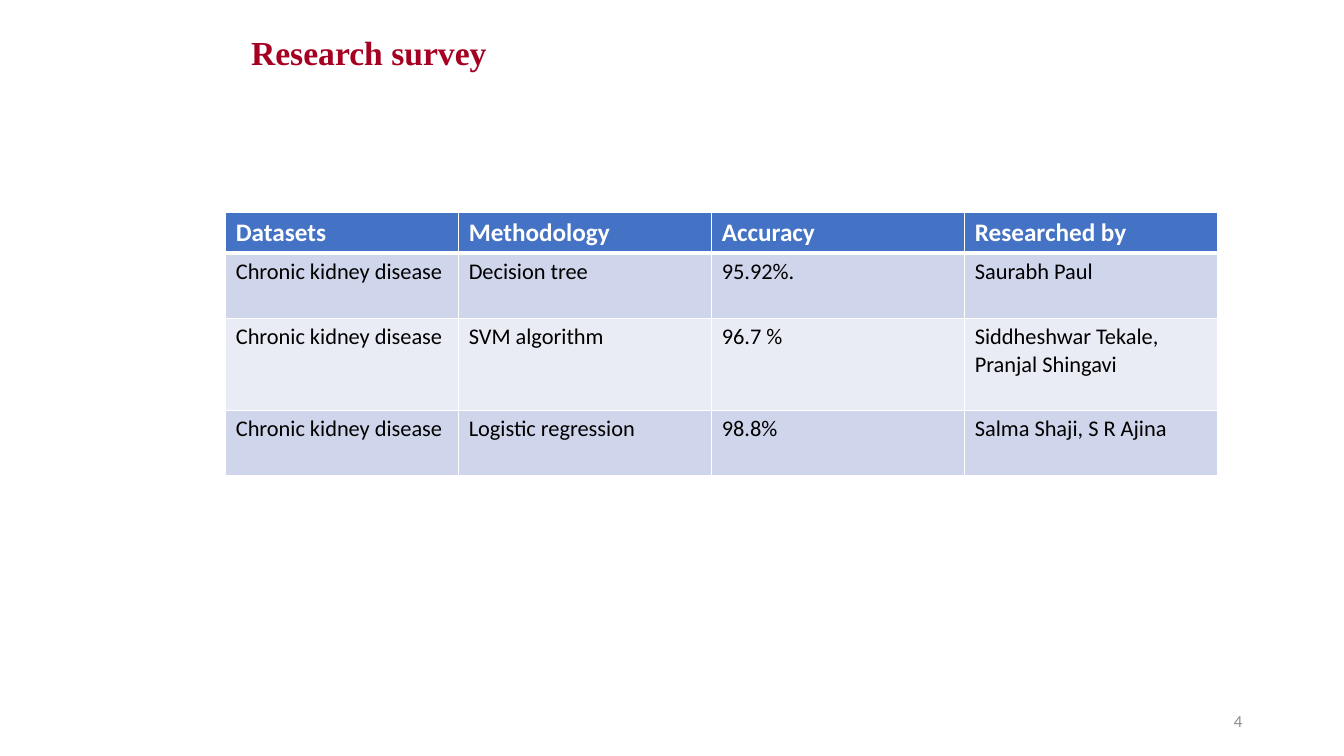
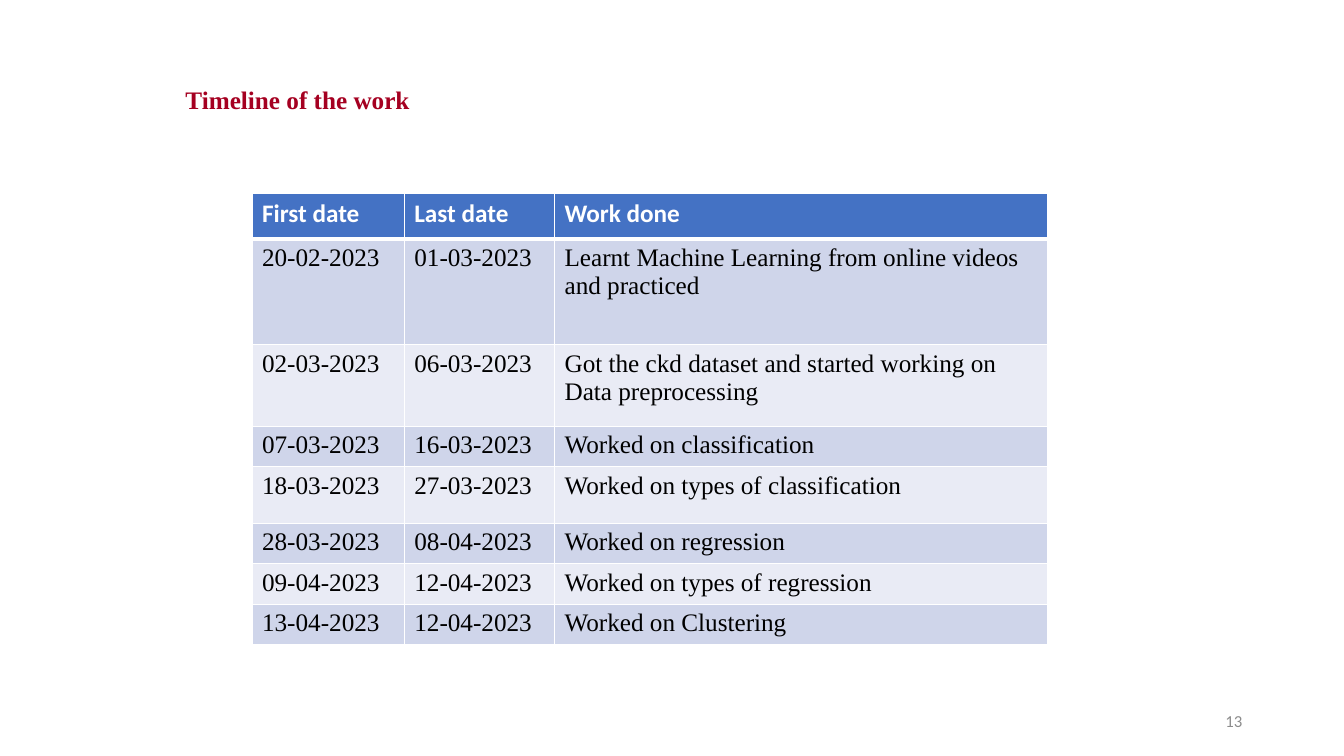
from dataclasses import dataclass
from lxml import etree
from pptx import Presentation
from pptx.dml.color import RGBColor
from pptx.enum.text import MSO_ANCHOR, MSO_AUTO_SIZE, PP_ALIGN
from pptx.oxml.ns import qn
from pptx.util import Inches, Pt

LEFT, RIGHT = PP_ALIGN.LEFT, PP_ALIGN.RIGHT
MIDDLE = MSO_ANCHOR.MIDDLE
FIXED = MSO_AUTO_SIZE.NONE
WIDE, TALL = Inches(13.33), Inches(7.5)


@dataclass(frozen=True)
class Theme:
    red: str = "A50021"
    blue: str = "4472C4"
    bands: tuple = ("CFD5EA", "E9EBF5")
    white: str = "FFFFFF"
    black: str = "000000"
    gray: str = "8C8C8C"
    sans: str = "Calibri"
    serif: str = "Times New Roman"
    head: int = 18
    foot: int = 12
    thin: int = 1
    thick: int = 3


theme = Theme()


def share(left, top, width, height):
    sides = (WIDE, TALL, WIDE, TALL)
    return [int(side * part / 100) for side, part in zip(sides, (left, top, width, height))]


def write(frame, text, color, **form):
    para = frame.paragraphs[0]
    run = para.add_run()
    run.text = text
    run.font.color.rgb = RGBColor.from_string(color)
    for key, value in form.items():
        setattr(run.font, key, value)
    return para


pages = [
    {
        "title": "Research survey",
        "place": (17.93, 2.53, 49.89, 8.4),
        "size": 24,
        "number": "4",
        "start": (16.8, 28.13),
        "cols": (17.33, 18.83, 18.83, 18.83),
        "rows": (5.2, 8.67, 12.13, 8.67),
        "body": {"name": theme.sans, "size": Pt(16), "bold": False},
        "cells": [
            ("Datasets", "Methodology", "Accuracy", "Researched by"),
            ("Chronic kidney disease", "Decision tree", "95.92%.", "Saurabh Paul"),
            ("Chronic kidney disease", "SVM algorithm", "96.7 %",
             "Siddheshwar Tekale, Pranjal Shingavi"),
            ("Chronic kidney disease", "Logistic regression", "98.8%",
             "Salma Shaji, S R Ajina"),
        ],
    },
    {
        "title": "Timeline of the work",
        "place": (13.05, 6.8, 54.76, 12.53),
        "size": 18,
        "number": "13",
        "start": (18.75, 25.6),
        "cols": (11.33, 11.18, 36.68),
        "rows": (6, 14, 10.8, 5, 7.5, 5, 5, 5),
        "body": {"name": theme.serif, "size": Pt(18), "bold": False},
        "cells": [
            ("First date", "Last date", "Work done"),
            ("20-02-2023", "01-03-2023",
             "Learnt Machine Learning from online videos and practiced"),
            ("02-03-2023", "06-03-2023",
             "Got the ckd dataset and started working on Data preprocessing"),
            ("07-03-2023", "16-03-2023", "Worked on classification"),
            ("18-03-2023", "27-03-2023", "Worked on types of classification"),
            ("28-03-2023", "08-04-2023", "Worked on regression"),
            ("09-04-2023", "12-04-2023", "Worked on types of regression"),
            ("13-04-2023", "12-04-2023", "Worked on Clustering"),
        ],
    },
]

deck = Presentation()
deck.slide_width, deck.slide_height = WIDE, TALL
layout = deck.slide_layouts.get_by_name("Title Only")
header = {"name": theme.sans, "size": Pt(theme.head), "bold": True}

for page in pages:
    slide = deck.slides.add_slide(layout)

    title = slide.shapes.title
    title.left, title.top, title.width, title.height = share(*page["place"])
    title.text_frame.auto_size = FIXED
    title.text_frame.vertical_anchor = MIDDLE
    para = write(title.text_frame, page["title"], theme.red,
                 name=theme.serif, size=Pt(page["size"]), bold=True)
    for key, value in {"alignment": LEFT, "line_spacing": 1.07, "space_after": Pt(4.5)}.items():
        setattr(para, key, value)

    foot = slide.shapes.add_textbox(*share(70.67, 92.67, 22.5, 5.33)).text_frame
    foot.word_wrap = True
    foot.vertical_anchor = MIDDLE
    para = write(foot, page["number"], theme.gray, name=theme.sans, size=Pt(theme.foot))
    para.alignment = RIGHT

    cols, rows = page["cols"], page["rows"]
    area = share(*page["start"], sum(cols), sum(rows))
    table = slide.shapes.add_table(len(rows), len(cols), *area).table
    for col, part in zip(table.columns, cols):
        col.width = int(WIDE * part / 100)
    for row, part in zip(table.rows, rows):
        row.height = int(TALL * part / 100)

    for r, line in enumerate(page["cells"]):
        for c, text in enumerate(line):
            cell = table.cell(r, c)
            edges = {"lnL": theme.thin, "lnR": theme.thin,
                     "lnT": theme.thick if r == 1 else theme.thin,
                     "lnB": theme.thick if r == 0 else theme.thin}
            props = cell._tc.get_or_add_tcPr()
            for tag, width in edges.items():
                edge = etree.SubElement(props, qn("a:" + tag), w=str(Pt(width)))
                fill = etree.SubElement(edge, qn("a:solidFill"))
                etree.SubElement(fill, qn("a:srgbClr"), val=theme.white)
            cell.fill.solid()
            tint = theme.bands[(r - 1) % 2] if r else theme.blue
            cell.fill.fore_color.rgb = RGBColor.from_string(tint)
            ink, form = (theme.black, page["body"]) if r else (theme.white, header)
            write(cell.text_frame, text, ink, **form)

deck.save("out.pptx")
